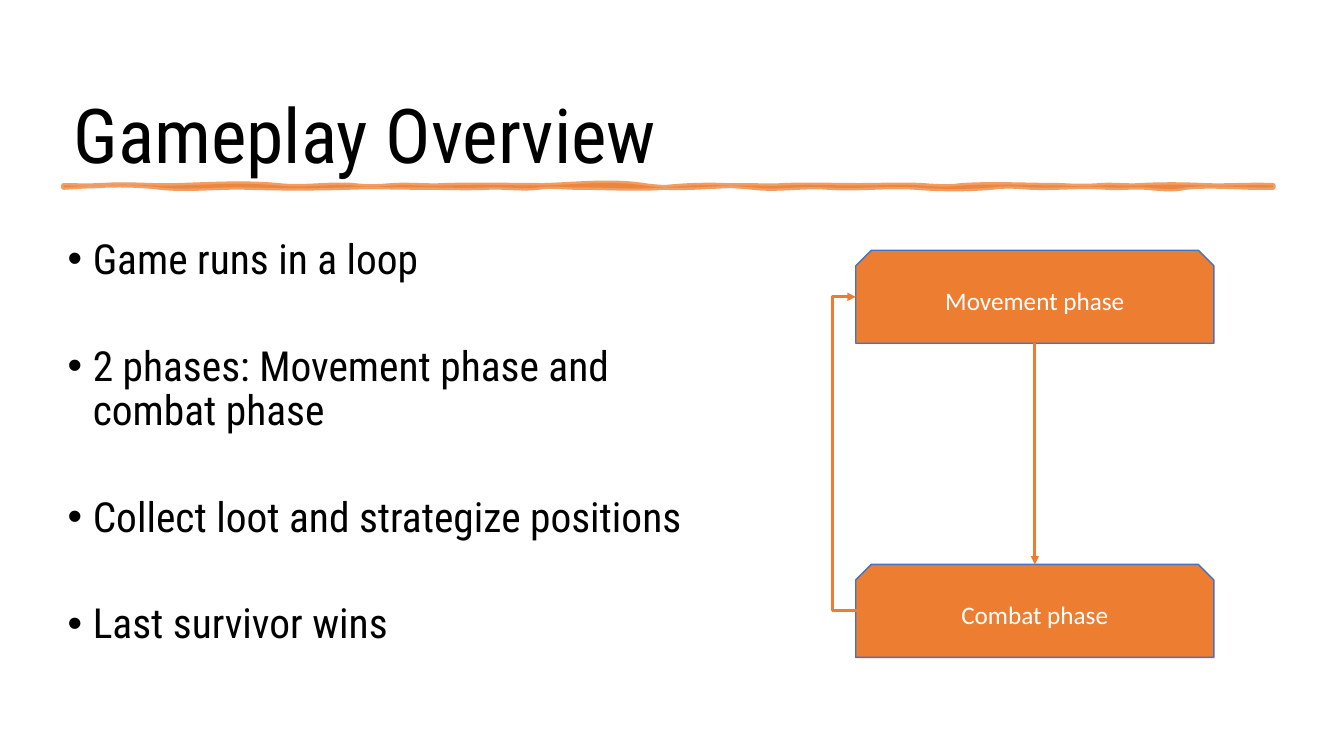
from dataclasses import dataclass

from lxml import etree
from pptx import Presentation
from pptx.dml.color import RGBColor
from pptx.enum.shapes import MSO_CONNECTOR, MSO_SHAPE
from pptx.enum.text import MSO_ANCHOR, PP_ALIGN
from pptx.oxml.ns import qn
from pptx.util import Pt

ORANGE = RGBColor(0xED, 0x7D, 0x31)
BLUE = RGBColor(0x44, 0x72, 0xC4)
BLACK = RGBColor(0, 0, 0)
WHITE = RGBColor(0xFF, 0xFF, 0xFF)
CONDENSED, CALIBRI = "Roboto Condensed", "Calibri"
TOP, MIDDLE, BOTTOM = MSO_ANCHOR.TOP, MSO_ANCHOR.MIDDLE, MSO_ANCHOR.BOTTOM
LEFT, CENTER = PP_ALIGN.LEFT, PP_ALIGN.CENTER
STRAIGHT, ELBOW = MSO_CONNECTOR.STRAIGHT, MSO_CONNECTOR.ELBOW
SNIPPED = MSO_SHAPE.SNIP_2_SAME_RECTANGLE


@dataclass
class Phase:
    name: str
    top: float


@dataclass
class Wave:
    end: float
    pull1: float
    pull2: float


PHASES = [Phase("Movement phase", 178.8), Phase("Combat phase", 403.2)]
BOX_LEFT, BOX_W, BOX_H = 611.3, 255.8, 66.4
BULLETS = ["Game runs in a loop", "2 phases: Movement phase and combat phase",
           "Collect loot and strategize positions", "Last survivor wins"]

# Brush stroke edges: where each wave ends, and how far its handles are pulled
RULE_LEFT, RULE_TOP, RULE_BOTTOM = 45.4, 132.5, 133.9
PULL = 0.72
UPPER = [Wave(*w) for w in [
    (73.4, 0, 1), (127.4, -2, 1), (198.7, -1, -3), (252.7, 3, -2), (280.8, 2, 1),
    (317.5, -1, 1), (388.8, -1, 0), (460.1, -1, -5), (531.4, 5, 0), (559.4, 0, 1),
    (613.4, -1, 0), (658.8, 0, -1), (686.9, 1, 2), (758.2, -2, 0), (786.2, 1, 1),
    (814.3, -1, 1), (859.7, -1, -1), (909.4, 1, -1)]]
LOWER = [Wave(*w) for w in [
    (846.7, 1, -3), (818.6, 3, 1), (790.6, -1, 1), (736.6, -2, 1), (708.5, -1, -2),
    (654.5, 2, 2), (591.8, -2, 2), (537.8, -2, 3), (475.2, -3, -3), (412.6, 2, 0),
    (384.5, 0, -2), (347.8, 2, -1), (302.4, 1, 0), (248.4, 0, -1), (177.1, 1, 1),
    (114.5, -1, 3), (45.4, -4, -2)]]


def add_text(tf, texts: list[str], *, size: float, font: str, color: RGBColor,
             anchor=TOP, align=LEFT, line: float = 1.0, gap: float = 0,
             bullet: bool = False) -> None:
    tf.word_wrap = True
    tf.vertical_anchor = anchor
    for i, text in enumerate(texts):
        p = tf.paragraphs[0] if i == 0 else tf.add_paragraph()
        p.alignment, p.line_spacing = align, line
        p.space_before = Pt(gap if i else 0)
        if bullet:
            pPr = p._p.get_or_add_pPr()
            pPr.set("marL", str(Pt(22.5)))
            pPr.set("indent", str(Pt(-18)))
            etree.SubElement(pPr, qn("a:buFont")).set("typeface", "Arial")
            etree.SubElement(pPr, qn("a:buChar")).set("char", "•")
        r = p.add_run()
        r.text = text
        r.font.size, r.font.name = Pt(size), font
        r.font.color.rgb = color


def edge(start: float, base: float, waves: list[Wave]) -> list[tuple[float, float]]:
    """Two handles and an end point for each wave."""
    points = []
    for w in waves:
        third = (w.end - start) / 3
        points += [(start + third, base + PULL * w.pull1),
                   (w.end - third, base + PULL * w.pull2), (w.end, base)]
        start = w.end
    return points


def curve_segments(sp) -> None:
    """Join every three line segments into one cubic curve."""
    lines = list(sp._element.spPr.iter(qn("a:lnTo")))
    for i in range(0, len(lines), 3):
        curve = etree.Element(qn("a:cubicBezTo"))
        lines[i].addprevious(curve)
        for line in lines[i:i + 3]:
            curve.append(line[0])
            line.getparent().remove(line)


def add_rule(s) -> None:
    right = UPPER[-1].end
    points = (edge(RULE_LEFT, RULE_TOP, UPPER) + [(right, RULE_BOTTOM)] * 3
              + edge(right, RULE_BOTTOM, LOWER))
    builder = s.shapes.build_freeform(Pt(RULE_LEFT), Pt(RULE_TOP))
    builder.add_line_segments([(Pt(x), Pt(y)) for x, y in points], close=True)
    sp = builder.convert_to_shape()
    curve_segments(sp)
    sp.shadow.inherit = False
    sp.fill.solid()
    sp.fill.fore_color.rgb = ORANGE
    sp.line.color.rgb = ORANGE
    sp.line.width = Pt(3.5)
    for color in sp._element.spPr.iter(qn("a:srgbClr")):
        etree.SubElement(color, qn("a:alpha")).set("val", "75000")
    etree.SubElement(sp.line._get_or_add_ln(), qn("a:round"))


def add_phase(s, phase: Phase) -> None:
    sp = s.shapes.add_shape(SNIPPED, Pt(BOX_LEFT), Pt(phase.top), Pt(BOX_W), Pt(BOX_H))
    sp.shadow.inherit = False
    sp.fill.solid()
    sp.fill.fore_color.rgb = ORANGE
    sp.line.color.rgb = BLUE
    sp.line.width = Pt(1)
    add_text(sp.text_frame, [phase.name], size=18, font=CALIBRI, color=WHITE,
             anchor=MIDDLE, align=CENTER)


def add_arrow(s, kind, x1: float, y1: float, x2: float, y2: float):
    cx = s.shapes.add_connector(kind, Pt(x1), Pt(y1), Pt(x2), Pt(y2))
    cx.line.color.rgb = ORANGE
    cx.line.width = Pt(2)
    etree.SubElement(cx.line._get_or_add_ln(), qn("a:tailEnd")).set("type", "triangle")
    etree.SubElement(cx._element.spPr, qn("a:effectLst"))
    return cx


def main() -> None:
    prs = Presentation()
    prs.slide_width, prs.slide_height = Pt(960), Pt(540)
    s = prs.slides.add_slide(prs.slide_layouts[6])

    # Title and brush stroke
    title = s.shapes.add_textbox(Pt(45.4), Pt(18.7), Pt(867.6), Pt(113))
    add_text(title.text_frame, ["Gameplay Overview"], size=54, font=CONDENSED,
             color=BLACK, anchor=BOTTOM, line=0.9)
    add_rule(s)

    # Bullets
    body = s.shapes.add_textbox(Pt(36.7), Pt(167), Pt(482.4), Pt(279.4))
    add_text(body.text_frame, BULLETS, size=29.6, font=CONDENSED, color=BLACK,
             line=0.9, gap=44.1, bullet=True)

    # Phase loop
    for phase in PHASES:
        add_phase(s, phase)
    movement, combat = PHASES
    back = add_arrow(s, ELBOW, BOX_LEFT + 1, combat.top + BOX_H / 2,
                     BOX_LEFT, movement.top + BOX_H / 2)
    # The return path bends 18 times the connector's 1 pt width to the left
    guides = back._element.spPr.find(qn("a:prstGeom")).find(qn("a:avLst"))
    guide = etree.SubElement(guides, qn("a:gd"))
    guide.set("name", "adj1")
    guide.set("fmla", "val 1800000")
    center = BOX_LEFT + BOX_W / 2
    add_arrow(s, STRAIGHT, center, movement.top + BOX_H, center, combat.top)

    prs.save("out.pptx")


if __name__ == "__main__":
    main()
